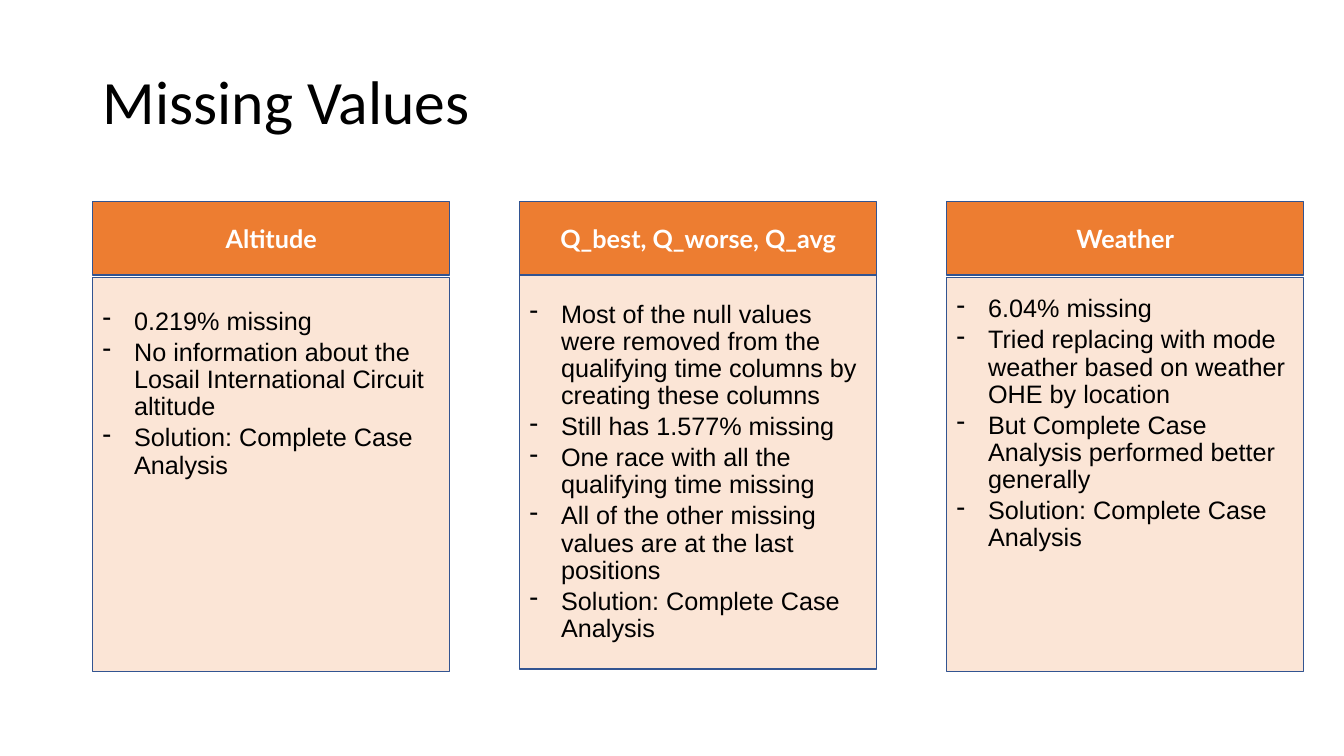
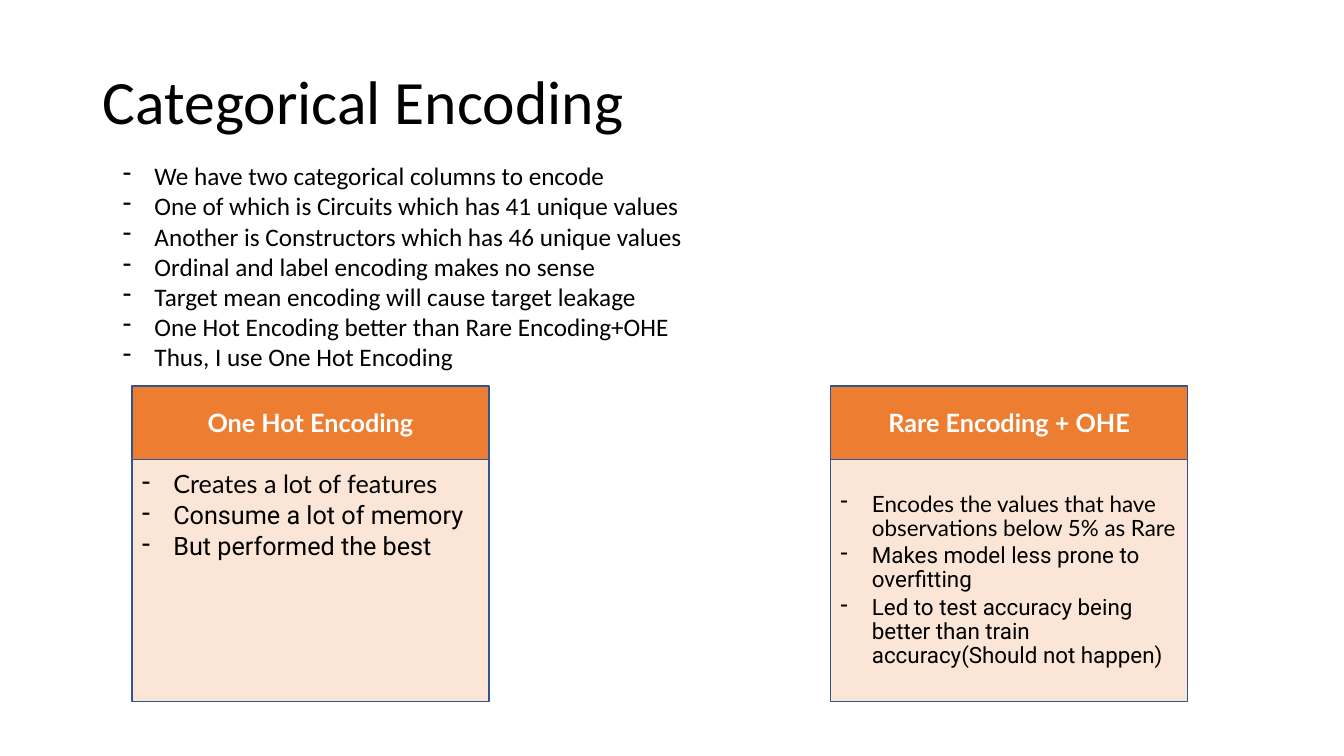
from dataclasses import dataclass

from lxml import etree
from pptx import Presentation
from pptx.dml.color import RGBColor
from pptx.enum.shapes import MSO_SHAPE
from pptx.enum.text import MSO_ANCHOR, PP_ALIGN
from pptx.oxml.ns import qn
from pptx.util import Pt

RECTANGLE = MSO_SHAPE.RECTANGLE
LEFT, CENTER = PP_ALIGN.LEFT, PP_ALIGN.CENTER
TOP, MIDDLE = MSO_ANCHOR.TOP, MSO_ANCHOR.MIDDLE
TITLE_ONLY = 5


@dataclass(frozen=True)
class Theme:
    header_fill: RGBColor = RGBColor.from_string("ED7D31")
    body_fill: RGBColor = RGBColor.from_string("FBE5D6")
    outline: RGBColor = RGBColor.from_string("325491")
    ink: RGBColor = RGBColor.from_string("000000")
    header_ink: RGBColor = RGBColor.from_string("FFFFFF")
    main_font: str = "Calibri"
    card_font: str = "Lato"
    plain_font: str = "Arial"
    second_font: str = "Roboto"
    title_size: float = 44
    text_size: float = 18
    small_size: float = 16


THEME = Theme()
MARGIN = 66.25
CARD_WIDTH = 255
HEADER_HEIGHT = 52.5
BULLET_INDENT = 22.5

MISSING_VALUES = [
    ("Altitude", 1.5, 22.5, [
        "0.219% missing",
        "No information about the Losail International Circuit altitude",
        "Solution: Complete Case Analysis",
    ]),
    ("Q_best, Q_worse, Q_avg", 0, None, [
        "Most of the null values were removed from the qualifying time columns by creating these columns",
        "Still has 1.577% missing",
        "One race with all the qualifying time missing",
        "All of the other missing values are at the last positions",
        "Solution: Complete Case Analysis",
    ]),
    ("Weather", 1.5, 13.5, [
        "6.04% missing",
        "Tried replacing with mode weather based on weather OHE by location",
        "But Complete Case Analysis performed better generally",
        "Solution: Complete Case Analysis",
    ]),
]
ENCODING_POINTS = [
    "We have two categorical columns to encode",
    "One of which is Circuits which has 41 unique values",
    "Another is Constructors which has 46 unique values",
    "Ordinal and label encoding makes no sense",
    "Target mean encoding will cause target leakage",
    "One Hot Encoding better than Rare Encoding+OHE",
    "Thus, I use One Hot Encoding",
]
ENCODING_CARDS = [
    ("One Hot Encoding", 94.25, 9, THEME.text_size, [
        "Creates a lot of features",
        "Consume a lot of memory",
        "But performed the best",
    ]),
    ("Rare Encoding + OHE", 593.25, None, THEME.small_size, [
        "Encodes the values that have observations below 5% as Rare",
        "Makes model less prone to overfitting",
        "Led to test accuracy being better than train accuracy(Should not happen)",
    ]),
]


def write_paragraph(paragraph, text, *, font=THEME.main_font, size=THEME.text_size,
                    color=THEME.ink, bold=False, align=LEFT, line_spacing=1.0,
                    space_after=0, bullet=None):
    paragraph.alignment = align
    paragraph.line_spacing = line_spacing
    paragraph.space_before = Pt(0)
    paragraph.space_after = Pt(space_after)
    run = paragraph.add_run()
    run.text = text
    run.font.name = font
    run.font.size = Pt(size)
    run.font.bold = bold
    run.font.color.rgb = color
    if bullet:
        properties = paragraph._p.get_or_add_pPr()
        properties.set("marL", str(Pt(BULLET_INDENT)))
        properties.set("indent", str(-Pt(BULLET_INDENT)))
        etree.SubElement(properties, qn("a:buChar")).set("char", bullet)


def write_bullets(frame, lines, fonts, **style):
    for index, (line, font) in enumerate(zip(lines, fonts)):
        paragraph = frame.add_paragraph() if index else frame.paragraphs[0]
        write_paragraph(paragraph, line, font=font, bullet="-", **style)


def add_titled_slide(presentation, text):
    slide = presentation.slides.add_slide(presentation.slide_layouts[TITLE_ONLY])
    title = slide.shapes.title
    title.left, title.top = Pt(MARGIN), Pt(28.75)
    title.width, title.height = Pt(828), Pt(92)
    title.text_frame.vertical_anchor = MIDDLE
    write_paragraph(title.text_frame.paragraphs[0], text,
                    size=THEME.title_size, line_spacing=0.9)
    return slide


def add_box(slide, left, top, height, fill):
    box = slide.shapes.add_shape(RECTANGLE, Pt(left), Pt(top), Pt(CARD_WIDTH), Pt(height))
    box.shadow.inherit = False
    box.fill.solid()
    box.fill.fore_color.rgb = fill
    box.line.color.rgb = THEME.outline
    box.line.width = Pt(1)
    frame = box.text_frame
    frame.word_wrap = True
    frame.vertical_anchor = MIDDLE
    return frame


def add_card(slide, heading, lines, fonts, *, left, top, body_height,
             gap=0, inset=None, size=THEME.text_size):
    header = add_box(slide, left, top, HEADER_HEIGHT, THEME.header_fill)
    write_paragraph(header.paragraphs[0], heading, font=THEME.card_font,
                    color=THEME.header_ink, bold=True, align=CENTER)
    body = add_box(slide, left, top + HEADER_HEIGHT + gap, body_height, THEME.body_fill)
    if inset is not None:
        body.vertical_anchor = TOP
        body.margin_top = Pt(inset)
    write_bullets(body, lines, fonts, size=size, line_spacing=0.9, space_after=0.15 * size)


def add_bullet_list(slide, lines, left, top, width, height):
    frame = slide.shapes.add_textbox(Pt(left), Pt(top), Pt(width), Pt(height)).text_frame
    frame.word_wrap = True
    write_bullets(frame, lines, [THEME.main_font] * len(lines))


def build_missing_values(presentation):
    slide = add_titled_slide(presentation, "Missing Values")
    for column, (heading, gap, inset, lines) in enumerate(MISSING_VALUES):
        add_card(slide, heading, lines, [THEME.plain_font] * len(lines),
                 left=MARGIN + column * 305, top=144, body_height=281.5,
                 gap=gap, inset=inset)


def build_categorical_encoding(presentation):
    slide = add_titled_slide(presentation, "Categorical Encoding")
    add_bullet_list(slide, ENCODING_POINTS, 80.75, 111, 813, 160)
    fonts = [THEME.card_font, THEME.second_font, THEME.second_font]
    for heading, left, inset, size, lines in ENCODING_CARDS:
        add_card(slide, heading, lines, fonts, left=left, top=275.75,
                 body_height=173, inset=inset, size=size)


def main():
    presentation = Presentation()
    presentation.slide_width, presentation.slide_height = Pt(960), Pt(540)
    build_missing_values(presentation)
    build_categorical_encoding(presentation)
    presentation.save("out.pptx")


if __name__ == "__main__":
    main()
